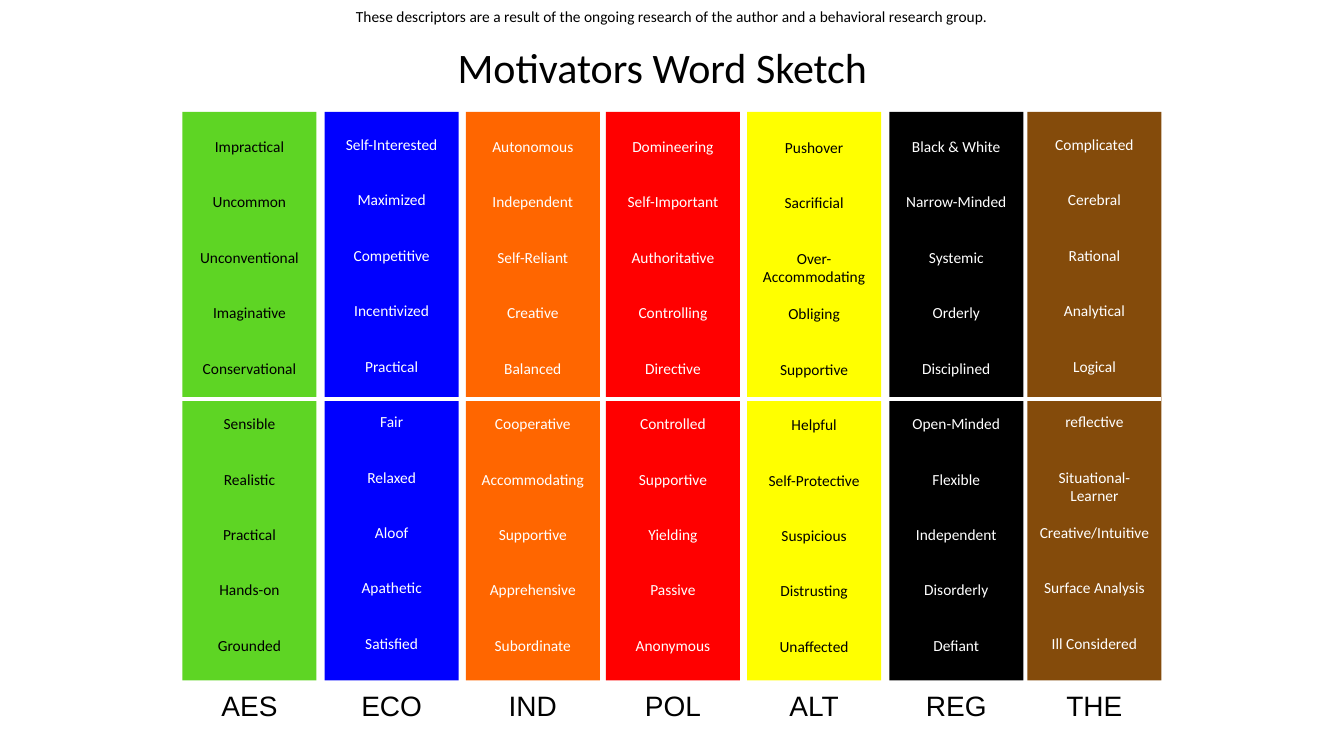
"""Build the Motivators Word Sketch slide: seven coloured columns of descriptors."""
from pptx import Presentation
from pptx.dml.color import RGBColor
from pptx.enum.shapes import MSO_CONNECTOR, MSO_SHAPE
from pptx.enum.text import PP_ALIGN
from pptx.oxml.ns import qn
from pptx.util import Inches, Pt
from lxml.etree import SubElement

COLORS = {
    "green": "5ED524", "blue": "0000FF", "orange": "FF6600", "red": "FF0000",
    "yellow": "FFFF00", "black": "000000", "brown": "844B0B", "white": "FFFFFF",
}
CREDIT = ("These descriptors are a result of the ongoing research of "
          "the author and a behavioral research group.")
TITLE = "Motivators Word Sketch"
MOTIVATORS = [
    ("AES", 1.81, 1.13, "green", "black",
     ["Impractical", "Uncommon", "Unconventional", "Imaginative", "Conservational",
      "Sensible", "Realistic", "Practical", "Hands-on", "Grounded"]),
    ("ECO", 3.22, 1.11, "blue", "white",
     ["Self-Interested", "Maximized", "Competitive", "Incentivized", "Practical",
      "Fair", "Relaxed", "Aloof", "Apathetic", "Satisfied"]),
    ("IND", 4.62, 1.13, "orange", "white",
     ["Autonomous", "Independent", "Self-Reliant", "Creative", "Balanced",
      "Cooperative", "Accommodating", "Supportive", "Apprehensive", "Subordinate"]),
    ("POL", 6.01, 1.13, "red", "white",
     ["Domineering", "Self-Important", "Authoritative", "Controlling", "Directive",
      "Controlled", "Supportive", "Yielding", "Passive", "Anonymous"]),
    ("ALT", 7.41, 1.14, "yellow", "black",
     ["Pushover", "Sacrificial", "Over-Accommodating", "Obliging", "Supportive",
      "Helpful", "Self-Protective", "Suspicious", "Distrusting", "Unaffected"]),
    ("REG", 8.82, 1.13, "black", "white",
     ["Black & White", "Narrow-Minded", "Systemic", "Orderly", "Disciplined",
      "Open-Minded", "Flexible", "Independent", "Disorderly", "Defiant"]),
    ("THE", 10.19, 1.11, "brown", "white",
     ["Complicated", "Cerebral", "Rational", "Analytical", "Logical",
      "reflective", "Situational-Learner", "Creative/Intuitive", "Surface Analysis",
      "Ill Considered"]),
]
TWO_LINE_WORDS = {"Over-Accommodating", "Situational-Learner"}
COLUMN_TOP, COLUMN_WIDTH, COLUMN_HEIGHT = 1.11, 1.33, 5.64
WORD_SIZE, WORD_LINE = 11, 13.2
WORDS_OFFSET, WORDS_HEIGHT = 0.18, 5.29
DIVIDER_Y = 3.96


def rgb(color):
    return RGBColor.from_string(COLORS[color])


def add_text(slide, box, lines, size, font="Calibri", color="black", gaps=None):
    frame = slide.shapes.add_textbox(*map(Inches, box)).text_frame
    frame.word_wrap = True
    for index, line in enumerate(lines):
        paragraph = frame.add_paragraph() if index else frame.paragraphs[0]
        paragraph.alignment = PP_ALIGN.CENTER
        if index and gaps:
            paragraph.space_before = Pt(gaps[index])
        run = paragraph.add_run()
        run.text = line
        run.font.size = Pt(size)
        run.font.name = font
        run.font.color.rgb = rgb(color)


def add_column(slide, label, left, text_top, fill, ink, words):
    column = slide.shapes.add_shape(
        MSO_SHAPE.RECTANGLE,
        *map(Inches, (left, COLUMN_TOP, COLUMN_WIDTH, COLUMN_HEIGHT)))
    column.shadow.inherit = False
    column.fill.solid()
    column.fill.fore_color.rgb = rgb(fill)
    column.line.fill.background()
    gaps = [0] + [WORD_LINE * (1 if word in TWO_LINE_WORDS else 2) for word in words]
    add_text(slide, (left, text_top + WORDS_OFFSET, COLUMN_WIDTH, WORDS_HEIGHT),
             words, WORD_SIZE, color=ink, gaps=gaps)
    add_text(slide, (left, 6.78, COLUMN_WIDTH, 0.44), [label], 20, font="Arial")


def add_divider(slide):
    first_left, last_right = MOTIVATORS[0][1], MOTIVATORS[-1][1] + COLUMN_WIDTH
    divider = slide.shapes.add_connector(
        MSO_CONNECTOR.STRAIGHT,
        *map(Inches, (first_left, DIVIDER_Y, last_right, DIVIDER_Y)))
    divider.line.color.rgb = rgb("white")
    divider.line.width = Pt(3)
    SubElement(divider._element.spPr, qn("a:effectLst"))


def main():
    deck = Presentation()
    deck.slide_width, deck.slide_height = Inches(13.33), Inches(7.5)
    slide = deck.slides.add_slide(deck.slide_layouts[6])
    for motivator in MOTIVATORS:
        add_column(slide, *motivator)
    add_divider(slide)
    add_text(slide, (1.81, 0.02, 9.71, 0.59), [CREDIT], 11)
    add_text(slide, (3.06, 0.36, 7.02, 0.61), [TITLE], 30)
    deck.save("out.pptx")


if __name__ == "__main__":
    main()
